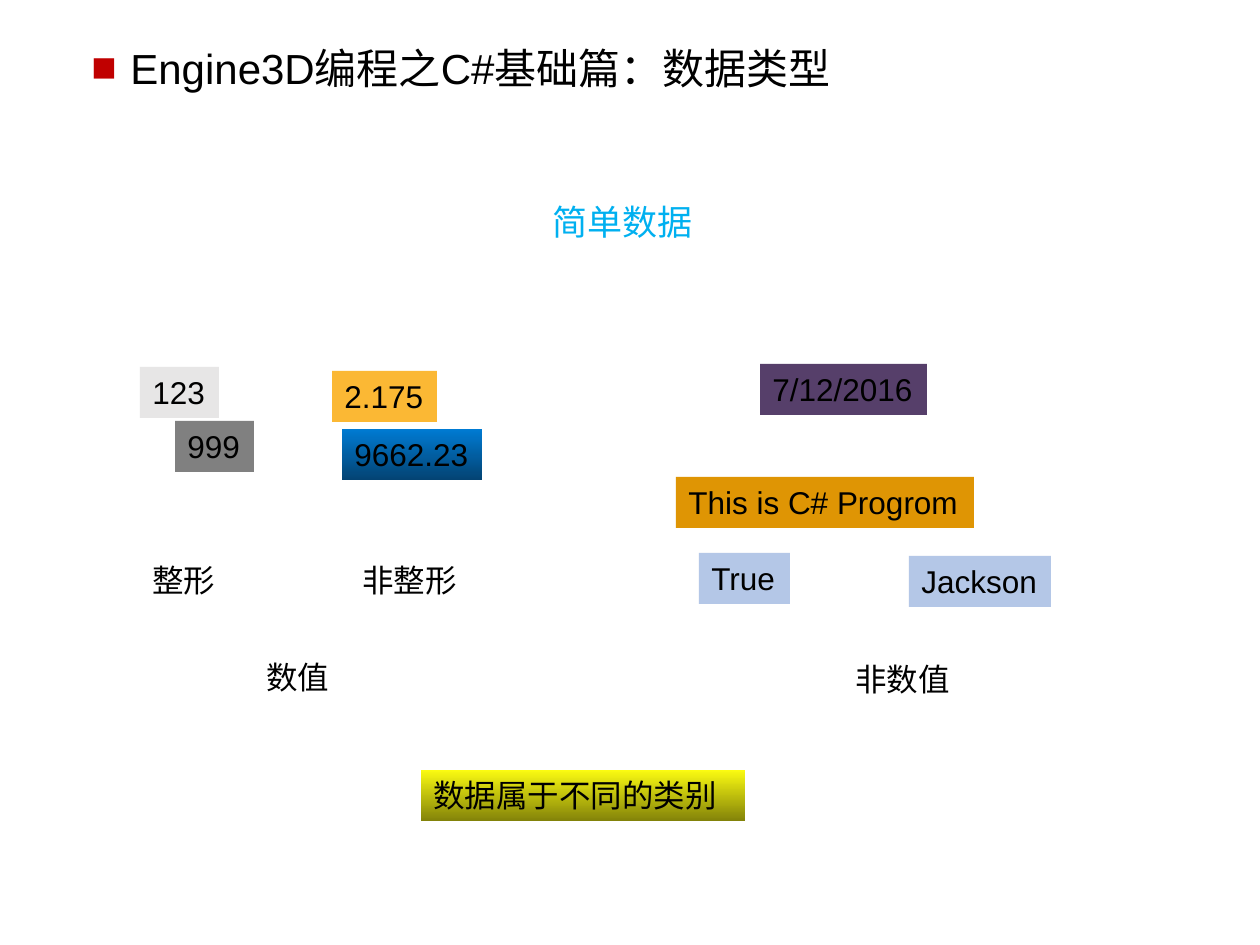
from pptx import Presentation as Deck
from pptx.dml.color import RGBColor as Rgb
from pptx.enum.shapes import MSO_SHAPE as Kind
from pptx.enum.text import MSO_ANCHOR as Anchor, MSO_AUTO_SIZE as Auto, PP_ALIGN as Align
from pptx.oxml.ns import qn
from pptx.util import Emu, Pt
from lxml.etree import SubElement as Sub

SCALE = 914400 / 126
BLACK = Rgb(0x00, 0x00, 0x00)
RED = Rgb(0xC0, 0x00, 0x00)
SKY = Rgb(0x00, 0xB0, 0xF0)
PALE = Rgb(0xE7, 0xE6, 0xE6)
GRAY = Rgb(0x80, 0x80, 0x80)
AMBER = Rgb(0xFB, 0xB8, 0x34)
OCHRE = Rgb(0xDF, 0x95, 0x04)
PLUM = Rgb(0x56, 0x3F, 0x6A)
ICE = Rgb(0xB4, 0xC7, 0xE7)
BLUE = Rgb(0x00, 0x7B, 0xD3)
NAVY = Rgb(0x03, 0x43, 0x73)
LEMON = Rgb(0xFB, 0xFB, 0x11)
OLIVE = Rgb(0x83, 0x83, 0x09)


def px(num):
    return Emu(round(num * SCALE))


def write(shape, text, size=18, color=BLACK, font="Arial", wrap=False):
    frame = shape.text_frame
    frame.word_wrap = wrap
    frame.auto_size = Auto.SHAPE_TO_FIT_TEXT
    frame.vertical_anchor = Anchor.TOP
    para = frame.paragraphs[0]
    para.alignment = Align.LEFT
    run = para.add_run()
    run.text = text
    run.font.size = Pt(size)
    run.font.name = font
    run.font.color.rgb = color
    return para


class Board:
    """Holds the style and the current slide."""

    def __init__(self, deck, high=51):
        self.slide = deck.slides.add_slide(deck.slide_layouts[6])
        self.high = high

    def label(self, text, x, y, wide, high=None, **form):
        box = self.slide.shapes.add_textbox(px(x), px(y), px(wide), px(high or self.high))
        return write(box, text, **form)

    def title(self, text, x, y, wide, high, dent=39):
        props = self.label(text, x, y, wide, high, size=24, wrap=True)._p.get_or_add_pPr()
        props.set("marL", str(px(dent)))
        props.set("indent", str(-px(dent)))
        Sub(Sub(props, qn("a:buClr")), qn("a:srgbClr"), val=str(RED))
        Sub(props, qn("a:buFont"), typeface="Arial")
        Sub(props, qn("a:buChar"), char="■")

    def tile(self, text, x, y, wide, *tones, **form):
        box = self.slide.shapes.add_shape(Kind.RECTANGLE, px(x), px(y), px(wide), px(self.high))
        box.shadow.inherit = False
        box.line.fill.background()
        if len(tones) == 1:
            box.fill.solid()
            box.fill.fore_color.rgb = tones[0]
        else:
            box.fill.gradient()
            box.fill.gradient_angle = 270
            for stop, tone in zip(box.fill.gradient_stops, tones):
                stop.color.rgb = tone
        write(box, text, **form)


def main():
    deck = Deck()
    deck.slide_width, deck.slide_height = px(1260), px(945)
    board = Board(deck)
    board.title("Engine3D编程之C#基础篇：数据类型", 79, 36, 1058, 63)
    board.label("简单数据", 540, 194, 170, 55, size=20, color=SKY)
    for text, x, y, wide in (
        ("整形", 140, 555, 91),
        ("非整形", 350, 555, 123),
        ("数值", 254, 652, 91),
        ("非数值", 843, 654, 123),
    ):
        board.label(text, x, y, wide)
    for text, x, y, wide, *tones in (
        ("123", 140, 367, 79, PALE),
        ("2.175", 332, 371, 105, AMBER),
        ("999", 175, 421, 79, GRAY),
        ("9662.23", 342, 429, 140, BLUE, NAVY),
        ("7/12/2016", 760, 364, 167, PLUM),
        ("This is C# Progrom", 676, 477, 298, OCHRE),
        ("Jackson", 909, 556, 142, ICE),
        ("True", 699, 553, 91, ICE),
    ):
        board.tile(text, x, y, wide, *tones)
    board.tile("数据属于不同的类别", 421, 770, 324, LEMON, OLIVE, wrap=True)
    deck.save("out.pptx")


if __name__ == "__main__":
    main()
